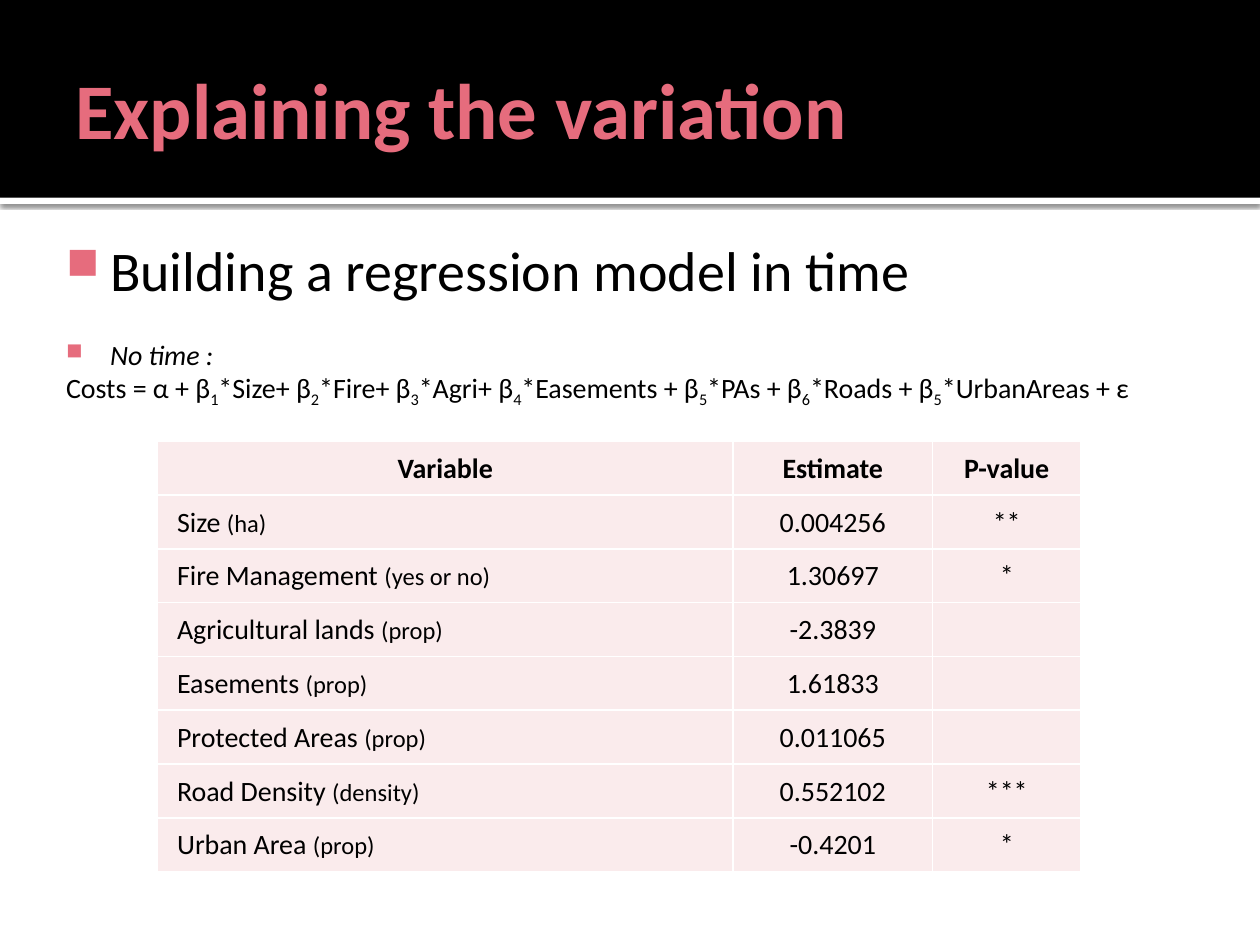
import lxml.etree
import pptx
import pptx.dml.color
import pptx.enum.shapes
import pptx.enum.text
import pptx.oxml
import pptx.oxml.ns
import pptx.util

Pt = pptx.util.Pt
qn = pptx.oxml.ns.qn
PINK, BLACK, WHITE, PALE = "E66C7D", "000000", "FFFFFF", "FAEBEC"
CENTER = pptx.enum.text.PP_ALIGN.CENTER
MIDDLE = pptx.enum.text.MSO_ANCHOR.MIDDLE
NAMESPACE = 'xmlns:a="http://schemas.openxmlformats.org/drawingml/2006/main"'


def color(value):
    return pptx.dml.color.RGBColor.from_string(value)


def add_run(paragraph, text, hue=BLACK, **formats):
    run = paragraph.add_run()
    run.text = text
    run.font.color.rgb = color(hue)
    for name, value in {"name": "Calibri", **formats}.items():
        setattr(run.font, name, value)
    return run


presentation = pptx.Presentation()
presentation.slide_width = Pt(720)
presentation.slide_height = Pt(540)
slide = presentation.slides.add_slide(presentation.slide_layouts[6])

bands = []
for top, height, fill in [(113, 3.6, WHITE), (0, 113, BLACK)]:
    band = slide.shapes.add_shape(
        pptx.enum.shapes.MSO_SHAPE.RECTANGLE, 0, Pt(top), Pt(720), Pt(height))
    band.shadow.inherit = False
    band.fill.solid()
    band.fill.fore_color.rgb = color(fill)
    band.line.fill.background()
    bands.append(band)
effects = bands[0]._element.spPr.find(qn("a:effectLst"))
effects.append(pptx.oxml.parse_xml(
    f'<a:outerShdw {NAMESPACE} blurRad="{Pt(2.5)}" dist="{Pt(0.8)}" dir="5400000" rotWithShape="0">'
    f'<a:srgbClr val="{BLACK}"><a:alpha val="60000"/></a:srgbClr></a:outerShdw>'))

frames = []
for box, margins, anchor in [
    ((36, 12.4, 648, 98.6), (7.2, 3.6, 3.6, 3.6), MIDDLE),
    ((24, 127.5, 660, 120), (4.3, 7.2, 7.2, 3.6), pptx.enum.text.MSO_ANCHOR.TOP),
]:
    frame = slide.shapes.add_textbox(*map(Pt, box)).text_frame
    settings = dict(zip(("margin_left", "margin_top", "margin_right", "margin_bottom"), map(Pt, margins)))
    for name, value in {**settings, "word_wrap": True, "vertical_anchor": anchor}.items():
        setattr(frame, name, value)
    frames.append(frame)
title, body = frames
add_run(title.paragraphs[0], "Explaining the variation", PINK, size=Pt(45), bold=True)

equation = ("Costs = α + β|1|*Size+ β|2|*Fire+ β|3|*Agri+ β|4|*Easements + β|5|*PAs + β"
            "|6|*Roads + β|5|*UrbanAreas + ε")
lines = [
    ("Building a regression model in time", True, 0, {"size": Pt(32)}),
    ("No time :", True, 19.5, {"size": Pt(16), "italic": True}),
    (equation, False, 0, {"size": Pt(16)}),
]
for index, (text, bulleted, space, formats) in enumerate(lines):
    paragraph = body.add_paragraph() if index else body.paragraphs[0]
    paragraph.space_before = Pt(space)
    properties = paragraph._p.get_or_add_pPr()
    properties.set("marL", str(Pt(34.6 if bulleted else 9.4)))
    properties.set("indent", str(Pt(-25.2 if bulleted else 0)))
    if bulleted:
        for xml in [
            f'<a:buClr {NAMESPACE}><a:srgbClr val="{PINK}"/></a:buClr>',
            f'<a:buSzPct {NAMESPACE} val="80000"/>',
            f'<a:buChar {NAMESPACE} char="■"/>',
        ]:
            properties.append(pptx.oxml.parse_xml(xml))
    for position, piece in enumerate(text.split("|")):
        run = add_run(paragraph, piece, **formats)
        if position % 2:
            run._r.get_or_add_rPr().set("baseline", "-25000")

rows = [
    ("Variable", "", "Estimate", "P-value"),
    ("Size ", "(ha)", "0.004256", "**"),
    ("Fire Management ", "(yes or no)", "1.30697", "*"),
    ("Agricultural lands ", "(prop)", "-2.3839", ""),
    ("Easements ", "(prop)", "1.61833", ""),
    ("Protected Areas ", "(prop)", "0.011065", ""),
    ("Road Density ", "(density)", "0.552102", "***"),
    ("Urban Area ", "(prop)", "-0.4201", "*"),
]
widths = [329, 113.8, 85]
table = slide.shapes.add_table(
    len(rows), len(widths), Pt(90), Pt(252.2), Pt(sum(widths)), Pt(30.75 * len(rows))).table
table.horz_banding = False
table.first_row = False
for column, width in zip(table.columns, widths):
    column.width = Pt(width)
for row_index, (variable, unit, estimate, p_value) in enumerate(rows):
    table.rows[row_index].height = Pt(30.75)
    for column_index, text in enumerate((variable, estimate, p_value)):
        cell = table.cell(row_index, column_index)
        label = row_index > 0 and column_index == 0
        for name, value in {
            "margin_left": Pt(11.2 if label else 0.7), "margin_right": Pt(0.7),
            "margin_top": Pt(0.7), "margin_bottom": Pt(0), "vertical_anchor": MIDDLE,
        }.items():
            setattr(cell, name, value)
        for side in ("lnL", "lnR", "lnT", "lnB"):
            border = lxml.etree.SubElement(cell._tc.get_or_add_tcPr(), qn("a:" + side), w=str(Pt(1)))
            border_fill = lxml.etree.SubElement(border, qn("a:solidFill"))
            lxml.etree.SubElement(border_fill, qn("a:srgbClr"), val=WHITE)
        cell.fill.solid()
        cell.fill.fore_color.rgb = color(PALE)
        paragraph = cell.text_frame.paragraphs[0]
        if not label:
            paragraph.alignment = CENTER
        if text:
            add_run(paragraph, text, size=Pt(16), bold=row_index == 0)
        if label:
            add_run(paragraph, unit, size=Pt(14), bold=False)

presentation.save("out.pptx")
